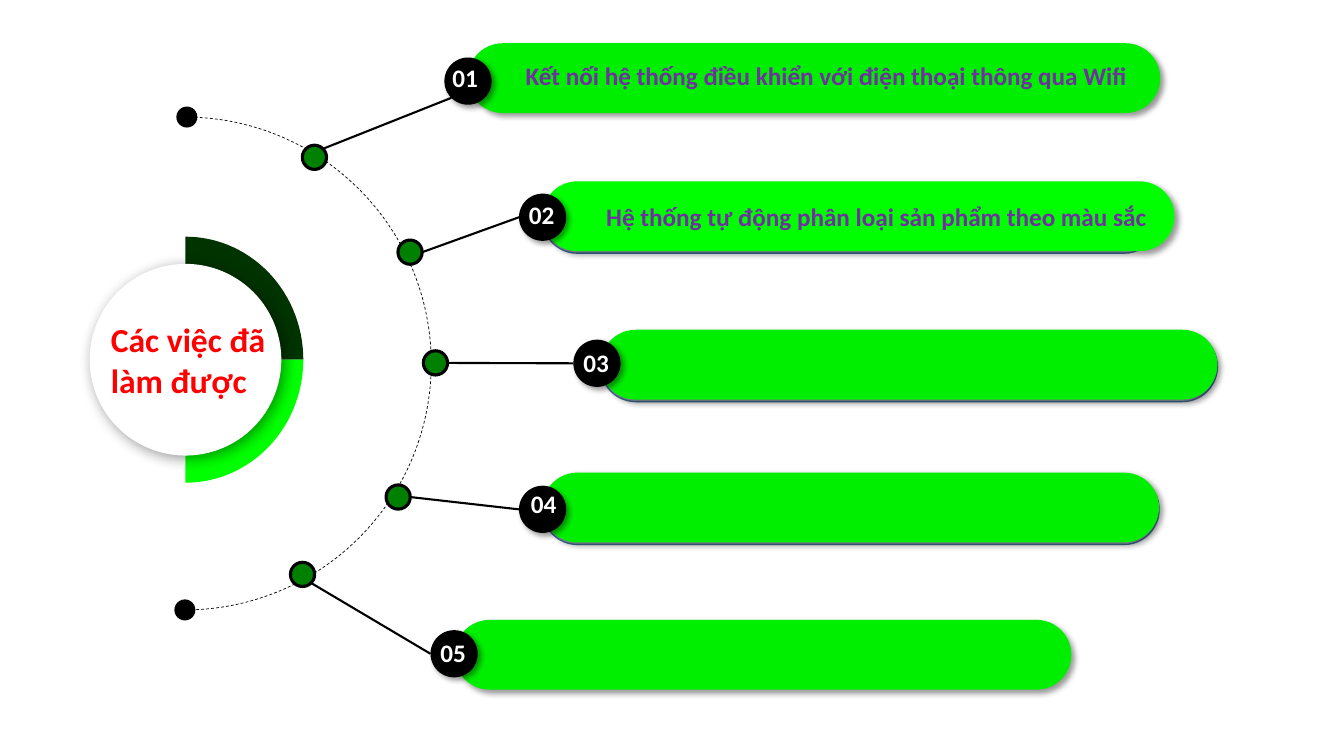
import math
from dataclasses import dataclass

import lxml.etree
import pptx
import pptx.dml.color
import pptx.enum.dml
import pptx.enum.shapes
import pptx.enum.text
import pptx.oxml.ns
import pptx.util

Cm = pptx.util.Cm
Pt = pptx.util.Pt
Shape = pptx.enum.shapes.MSO_SHAPE
Align = pptx.enum.text.PP_ALIGN

COLOURS = {
    "black": "000000",
    "white": "FFFFFF",
    "bar": "00EF00",
    "lime": "00FF00",
    "dark_green": "003300",
    "node": "008000",
    "under_bar": "ADB9CA",
    "under_line": "43739E",
    "title": "FF0000",
    "label": "7030A0",
}
FONT = "Calibri"
BAR_HEIGHT = 1.76
BADGE_SIZE = 1.19
NODE_SIZE = 0.61
END_DOT_SIZE = 0.53


@dataclass
class Box:
    left: float
    top: float
    width: float
    height: float

    def lengths(self):
        return [Cm(value) for value in (self.left, self.top, self.width, self.height)]

    def centre(self):
        return self.left + self.width / 2, self.top + self.height / 2

    def rim(self, degrees):
        x, y = self.centre()
        angle = math.radians(degrees)
        return x + self.width / 2 * math.cos(angle), y + self.height / 2 * math.sin(angle)


@dataclass
class Row:
    number: str
    bar: Box
    badge: Box
    node: Box
    number_shift: tuple
    angles: tuple = (0, 180)
    fill: str = "bar"
    has_under_bar: bool = False
    text: str = ""
    text_box: Box = None


def colour(name):
    return pptx.dml.color.RGBColor.from_string(COLOURS[name])


def paint(shape, fill, line=None, width=1.0):
    shape.shadow.inherit = False
    shape.fill.solid()
    shape.fill.fore_color.rgb = colour(fill)
    if line:
        shape.line.color.rgb = colour(line)
        shape.line.width = Pt(width)
    else:
        shape.line.fill.background()


def add_figure(slide, kind, box, fill, line=None, width=1.0):
    shape = slide.shapes.add_shape(kind, *box.lengths())
    paint(shape, fill, line, width)
    return shape


def add_shadow(shape, blur=4):
    qn = pptx.oxml.ns.qn
    effects = shape.element.spPr.find(qn("a:effectLst"))
    shadow = lxml.etree.SubElement(
        effects, qn("a:outerShdw"), blurRad=str(Pt(blur)), dist=str(Pt(3)),
        dir="2700000", algn="tl", rotWithShape="0")
    tint = lxml.etree.SubElement(shadow, qn("a:srgbClr"), val=COLOURS["black"])
    lxml.etree.SubElement(tint, qn("a:alpha"), val="40000")


def write(shape, text, size, colour_name, alignment=Align.LEFT):
    frame = shape.text_frame
    frame.text = text
    frame.word_wrap = True
    frame.auto_size = pptx.enum.text.MSO_AUTO_SIZE.NONE
    frame.vertical_anchor = pptx.enum.text.MSO_ANCHOR.TOP
    paragraph = frame.paragraphs[0]
    paragraph.alignment = alignment
    paragraph.line_spacing = 1.0
    paragraph.space_before = Pt(0)
    font = paragraph.runs[0].font
    font.name = FONT
    font.size = Pt(size)
    font.bold = True
    font.color.rgb = colour(colour_name)


def add_quadrant(slide, ring, start, fill):
    points = [ring.rim(start + step) for step in range(0, 91, 3)]
    builder = slide.shapes.build_freeform(*[Cm(value) for value in ring.centre()], scale=1.0)
    builder.add_line_segments([(Cm(x), Cm(y)) for x, y in points], close=True)
    paint(builder.convert_to_shape(), fill)


def build_hub(slide, box):
    x, y = box.centre()
    ring = Box(x - 2.97, y - 3.1, 5.94, 6.2)
    add_quadrant(slide, ring, -90, "dark_green")
    add_quadrant(slide, ring, 0, "lime")
    add_shadow(add_figure(slide, Shape.OVAL, box, "white"), blur=10)

    title = slide.shapes.title
    title_box = Box(box.left + 0.28, box.top + 1.27, 4.6, 2.31)
    title.left, title.top, title.width, title.height = title_box.lengths()
    write(title, "Các việc đã làm được", 24, "title")
    title.element.getparent().append(title.element)


def build_orbit(slide, box):
    arc = slide.shapes.add_shape(Shape.ARC, *box.lengths())
    arc.adjustments[0] = 162
    arc.adjustments[1] = 55.36
    arc.shadow.inherit = False
    arc.fill.background()
    arc.line.color.rgb = colour("black")
    arc.line.width = Pt(0.5)
    arc.line.dash_style = pptx.enum.dml.MSO_LINE.DASH
    for angle, shift in ((-90, 0.05), (90, 0)):
        x, y = box.rim(angle)
        dot = Box(x + shift - END_DOT_SIZE / 2, y - END_DOT_SIZE / 2, END_DOT_SIZE, END_DOT_SIZE)
        add_figure(slide, Shape.OVAL, dot, "black")


def add_bar(slide, box, fill, line=None):
    bar = add_figure(slide, Shape.ROUNDED_RECTANGLE, box, fill, line)
    bar.adjustments[0] = 0.5
    return bar


def build_row(slide, row):
    bar, badge = row.bar, row.badge
    if row.has_under_bar:
        add_bar(slide, Box(bar.left, bar.top + 0.05, 15.54, bar.height), "under_bar", "under_line")
    add_shadow(add_bar(slide, bar, row.fill))
    add_figure(slide, Shape.OVAL, row.node, "node", "black", 2.25)
    add_shadow(add_figure(slide, Shape.OVAL, badge, "black"))

    ends = row.node.rim(row.angles[0]) + badge.rim(row.angles[1])
    connector = slide.shapes.add_connector(
        pptx.enum.shapes.MSO_CONNECTOR.STRAIGHT, *[Cm(value) for value in ends])
    connector.line.color.rgb = colour("black")
    connector.line.width = Pt(1.5)
    lxml.etree.SubElement(connector.element.spPr, pptx.oxml.ns.qn("a:effectLst"))

    shift_x, shift_y = row.number_shift
    number_box = Box(badge.left + shift_x, badge.top + shift_y, 1.22, 1.03)
    write(slide.shapes.add_textbox(*number_box.lengths()), row.number, 18, "white")
    if row.text:
        offset = row.text_box
        label_box = Box(bar.left + offset.left, bar.top + offset.top, offset.width, offset.height)
        label = slide.shapes.add_textbox(*label_box.lengths())
        write(label, row.text, 18, "label", Align.CENTER)


def make_row(number, bar, badge, node, number_shift, **options):
    left, top, width = bar
    return Row(number, Box(left, top, width, BAR_HEIGHT), Box(*badge, BADGE_SIZE, BADGE_SIZE),
               Box(*node, NODE_SIZE, NODE_SIZE), number_shift, **options)


ROWS = [
    make_row("01", (11.79, 1.09, 17.45), (11.2, 1.45), (7.62, 3.66), (-0.05, 0),
             angles=(-45, 135), text_box=Box(1.02, 0.3, 16.03, 1.03),
             text="Kết nối hệ thống điều khiển với điện thoại thông qua Wifi"),
    make_row("02", (13.67, 4.57, 15.93), (13.08, 4.88), (10.03, 6.05), (0, 0.03),
             fill="lime", has_under_bar=True, text_box=Box(1.27, 0.38, 14.3, 1.03),
             text="Hệ thống tự động phân loại sản phẩm theo màu sắc"),
    make_row("03", (15.14, 8.31, 15.54), (14.45, 8.56), (10.67, 8.84), (0, 0.08),
             has_under_bar=True),
    make_row("04", (13.67, 11.91, 15.54), (13.08, 12.24), (9.73, 12.22), (0.05, -0.05),
             has_under_bar=True),
    make_row("05", (11.46, 15.62, 15.54), (10.85, 15.88), (7.32, 14.17), (0, 0.05),
             angles=(45, 180)),
]


def main():
    presentation = pptx.Presentation()
    presentation.slide_width = Cm(33.87)
    presentation.slide_height = Cm(19.05)
    slide = presentation.slides.add_slide(presentation.slide_layouts[5])
    build_hub(slide, Box(2.26, 6.65, 4.83, 4.83))
    build_orbit(slide, Box(-1.55, 2.95, 12.42, 12.42))
    for row in ROWS:
        build_row(slide, row)
    presentation.save("out.pptx")


if __name__ == "__main__":
    main()
